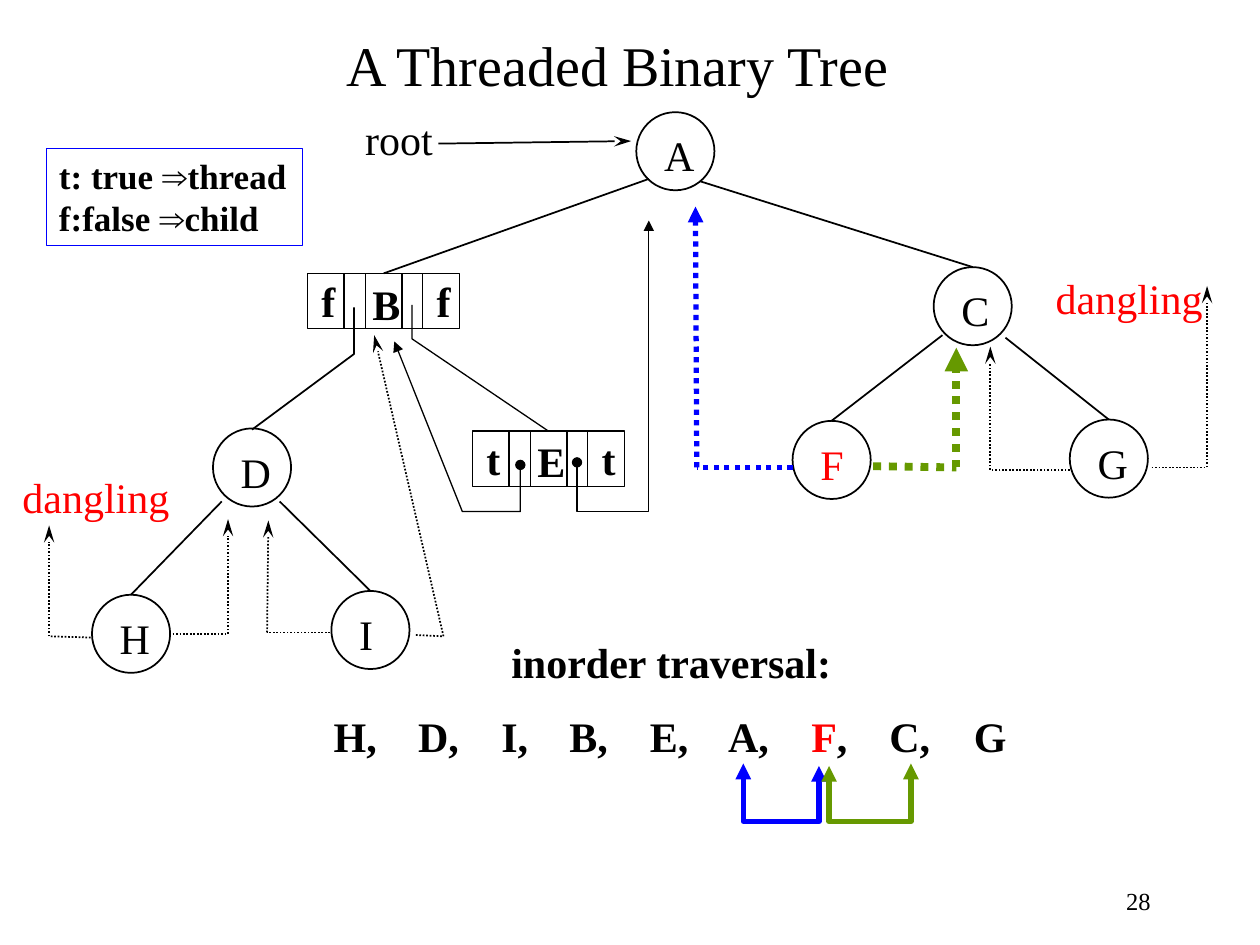
from dataclasses import dataclass
from itertools import pairwise

from lxml import etree
from pptx import Presentation
from pptx.dml.color import RGBColor
from pptx.enum.dml import MSO_LINE
from pptx.enum.shapes import MSO_CONNECTOR, MSO_SHAPE
from pptx.enum.text import MSO_ANCHOR, PP_ALIGN
from pptx.oxml.ns import qn
from pptx.util import Inches, Pt

OVAL, RECT = MSO_SHAPE.OVAL, MSO_SHAPE.RECTANGLE
STRAIGHT, DOTTED = MSO_CONNECTOR.STRAIGHT, MSO_LINE.ROUND_DOT
LEFT, RIGHT, TOP = PP_ALIGN.LEFT, PP_ALIGN.RIGHT, MSO_ANCHOR.TOP
TOP_SITE = 0
CELL = Inches(0.1)  # the slide is a grid of 100 columns by 75 rows


@dataclass(frozen=True)
class Theme:
    ink: str = "000000"
    red: str = "FF0000"
    blue: str = "0000FF"
    green: str = "669900"
    font: str = "Times New Roman"
    symbol_font: str = "Arial"
    title: float = 32
    label: float = 24
    legend: float = 20
    number: float = 14
    hairline: float = 0.75
    thin: float = 1
    thick: float = 3
    heavy: float = 4.5


THEME = Theme()
Point = tuple[float, float]


@dataclass(frozen=True)
class Run:
    text: str
    color: str = THEME.ink
    size: float = THEME.label
    bold: bool = False
    font: str = THEME.font


@dataclass(frozen=True)
class Node:
    name: str
    col: float
    row: float
    color: str = THEME.ink


@dataclass(frozen=True)
class Record:
    """A node drawn as five cells: flag, link, name, link, flag."""
    name: str
    flag: str
    col: float
    row: float


@dataclass(frozen=True)
class Path:
    points: tuple[Point, ...]
    color: str = THEME.ink
    width: float = THEME.thin
    head: str = ""
    tail: str = ""


NODES = (
    Node("A", 50.5, 8.9), Node("C", 74.1, 21.2), Node("G", 84.9, 33.3),
    Node("I", 26.3, 46.9), Node("D", 16.9, 34), Node("H", 7.3, 47.2),
    Node("F", 62.9, 33.4, THEME.red),
)
RECORDS = (Record("E", "t", 37.5, 34.2), Record("B", "f", 24.4, 21.7))
NODE_SIZE = 6.2
CELL_WIDTHS = (2.9, 1.7, 2.9, 1.65, 2.9)
CELL_HEIGHT = 4.4

# Start of each branch, and the child whose top it reaches
BRANCHES = (
    ((51.5, 14.2), "B"), ((55.6, 14.4), "C"), ((74.8, 26.6), "F"),
    ((79.8, 26.8), "G"), ((17.6, 39.8), "H"), ((22.2, 39.8), "I"),
)
BENT_BRANCHES = (
    Path(((28.1, 24.4), (28.1, 28.1), (20, 34.1))),
    Path(((32.7, 24.2), (32.7, 26.9), (43.5, 34.2)), width=THEME.hairline),
)
THREADS = (
    Path(((33, 50.4), (35.2, 50.5), (29.7, 26.6)), tail="stealth"),
    Path(((26.2, 50.2), (21.2, 50.2), (21.3, 41.3)), tail="stealth"),
    Path(((13.7, 50.3), (18.1, 50.3), (18.1, 41.2)), tail="stealth"),
    Path(((62.9, 37.1), (55.3, 37.1), (55.2, 16.4)), THEME.blue, THEME.thick, tail="triangle"),
    Path(((84.9, 37.3), (78.6, 37.3), (78.6, 27.5)), tail="stealth"),
    Path(((7.2, 50.6), (3.9, 50.5), (3.9, 41.7)), tail="stealth"),
    Path(((69.3, 37), (75.9, 37.1), (75.9, 27.6)), THEME.green, THEME.heavy, tail="triangle"),
    Path(((91.4, 37.1), (95.8, 37.1), (95.8, 22.7)), tail="stealth"),
)
RECORD_THREADS = tuple(
    Path(points, width=THEME.hairline, head="oval", tail="triangle") for points in (
        ((45.8, 36.7), (45.8, 40.6), (51.5, 40.6), (51.5, 17.5)),
        ((41.3, 36.9), (41.3, 40.6), (36.7, 40.6), (31.3, 27.1)),
    ))
TRAVERSAL_LINKS = tuple(
    Path(((start, 60.8), (start, 65.2), (end, 65.2), (end, 60.6)),
         color, THEME.thick, "triangle", "triangle")
    for start, end, color in ((65, 59, THEME.blue), (65.8, 72.3, THEME.green)))
TRAVERSAL_TABS = (6.7, 13.3, 18.7, 25.1, 31.3, 37.9, 44.1, 50.8)


def grid(cells: float) -> int:
    return round(cells * CELL)


def box(*cells: float) -> list[int]:
    return [grid(value) for value in cells]


def write(shape, *lines: tuple[Run, ...], insets: Point = (1, 0.5), align=LEFT) -> None:
    """Fill a shape with one paragraph per line; insets are left and top."""
    frame = shape.text_frame
    frame.word_wrap = False
    frame.vertical_anchor = TOP
    frame.margin_left, frame.margin_top = box(*insets)
    frame.margin_right = frame.margin_left if align == RIGHT else 0
    frame.margin_bottom = 0
    for index, line in enumerate(lines):
        paragraph = frame.add_paragraph() if index else frame.paragraphs[0]
        paragraph.alignment = align
        for part in line:
            run = paragraph.add_run()
            run.text = part.text
            run.font.name, run.font.size, run.font.bold = part.font, Pt(part.size), part.bold
            run.font.color.rgb = RGBColor.from_string(part.color)


def add_text(slide, area: tuple[float, ...], *runs: Run, align=LEFT):
    label = slide.shapes.add_textbox(*box(*area))
    write(label, runs, align=align)
    return label


def stroke(shape, color: str, width: float, head: str = "", tail: str = "", dotted: bool = False) -> None:
    shape.line.color.rgb = RGBColor.from_string(color)
    shape.line.width = Pt(width)
    if dotted:
        shape.line.dash_style = DOTTED
    outline = shape.element.spPr.find(qn("a:ln"))
    for tag, kind in (("a:headEnd", head), ("a:tailEnd", tail)):
        if kind:
            length = "lg" if kind == "stealth" else "med"
            etree.SubElement(outline, qn(tag), type=kind, w="med", len=length)


def add_outline(slide, kind, area: tuple[float, ...], color: str, width: float):
    shape = slide.shapes.add_shape(kind, *box(*area))
    shape.shadow.inherit = False
    shape.fill.background()
    stroke(shape, color, width)
    return shape


def add_node(slide, node: Node):
    circle = add_outline(slide, OVAL, (node.col, node.row, NODE_SIZE, NODE_SIZE), THEME.ink, THEME.thin)
    write(circle, (Run(node.name, node.color),), insets=(1.3, 0.5))
    return circle


def add_record(slide, record: Record):
    """Draw the five cells and return the middle one, which holds the name."""
    contents = (record.flag, "", record.name, "", record.flag)
    cells, col = [], record.col
    for content, width in zip(contents, CELL_WIDTHS):
        cell = add_outline(slide, RECT, (col, record.row, width, CELL_HEIGHT), THEME.ink, THEME.hairline)
        if content:
            insets = (0.55, 0.4) if content == record.name else (1.1, 0.2)
            write(cell, (Run(content, bold=True),), insets=insets)
        cells.append(cell)
        col += width
    return cells[2]


def add_line(slide, start: Point, end: Point, color: str, width: float, tail: str = "", dotted: bool = False):
    line = slide.shapes.add_connector(STRAIGHT, *box(*start, *end))
    stroke(line, color, width, tail=tail, dotted=dotted)
    etree.SubElement(line.element.spPr, qn("a:effectLst"))
    return line


def add_thread(slide, thread: Path) -> None:
    for start, end in pairwise(thread.points):
        tail = thread.tail if end == thread.points[-1] else ""
        add_line(slide, start, end, thread.color, thread.width, tail, dotted=True)


def add_bent_line(slide, bent: Path) -> None:
    start, *rest = [tuple(box(*point)) for point in bent.points]
    builder = slide.shapes.build_freeform(*start)
    builder.add_line_segments(rest, close=False)
    shape = builder.convert_to_shape()
    shape.shadow.inherit = False
    shape.fill.background()
    stroke(shape, bent.color, bent.width, bent.head, bent.tail)


def add_traversal(slide) -> None:
    add_text(slide, (39.6, 50, 27.4, 5), Run("inorder traversal:", bold=True))
    order = add_text(
        slide, (25.5, 55.9, 55.5, 5), Run("H,\tD,\tI,\tB,\tE,\tA,\t", bold=True),
        Run("F", THEME.red, bold=True), Run(",\tC,\tG", bold=True))
    properties = order.text_frame.paragraphs[0]._p.get_or_add_pPr()
    stops = etree.SubElement(properties, qn("a:tabLst"))
    for stop in TRAVERSAL_TABS:
        etree.SubElement(stops, qn("a:tab"), pos=str(grid(stop)), algn="l")
    for link in TRAVERSAL_LINKS:
        add_bent_line(slide, link)


def add_legend(slide) -> None:
    legend = add_outline(slide, RECT, (3.7, 11.8, 20.3, 7.7), THEME.blue, THEME.hairline)
    style = {"size": THEME.legend, "bold": True}
    arrow = Run("⇒", font=THEME.symbol_font, **style)
    write(legend, *((Run(flag, **style), arrow, Run(meaning, **style))
                    for flag, meaning in (("t: true ", "thread"), ("f:false ", "child"))))


def main() -> None:
    deck = Presentation()
    deck.slide_width, deck.slide_height = box(100, 75)
    slide = deck.slides.add_slide(deck.slide_layouts[6])

    add_text(slide, (26.5, 1.9, 45.6, 6.4), Run("A Threaded Binary Tree", size=THEME.title))
    tree = {node.name: add_node(slide, node) for node in NODES}
    tree |= {record.name: add_record(slide, record) for record in RECORDS}
    for start, child in BRANCHES:
        branch = add_line(slide, start, start, THEME.ink, THEME.thin)
        branch.end_connect(tree[child], TOP_SITE)
    for thread in THREADS:
        add_thread(slide, thread)
    for bent in BENT_BRANCHES + RECORD_THREADS:
        add_bent_line(slide, bent)

    add_text(slide, (28, 8.5, 7.4, 5), Run("root"))
    add_line(slide, (34.8, 11.4), (50.1, 11.2), THEME.ink, THEME.thin, "stealth")
    for col, row in ((0.8, 36.9), (82.8, 21.1)):
        add_text(slide, (col, row, 14, 5), Run("dangling", THEME.red))
    add_traversal(slide)
    add_legend(slide)
    add_text(slide, (71.5, 69.8, 20.8, 5), Run("28", size=THEME.number), align=RIGHT)
    deck.save("out.pptx")


if __name__ == "__main__":
    main()
